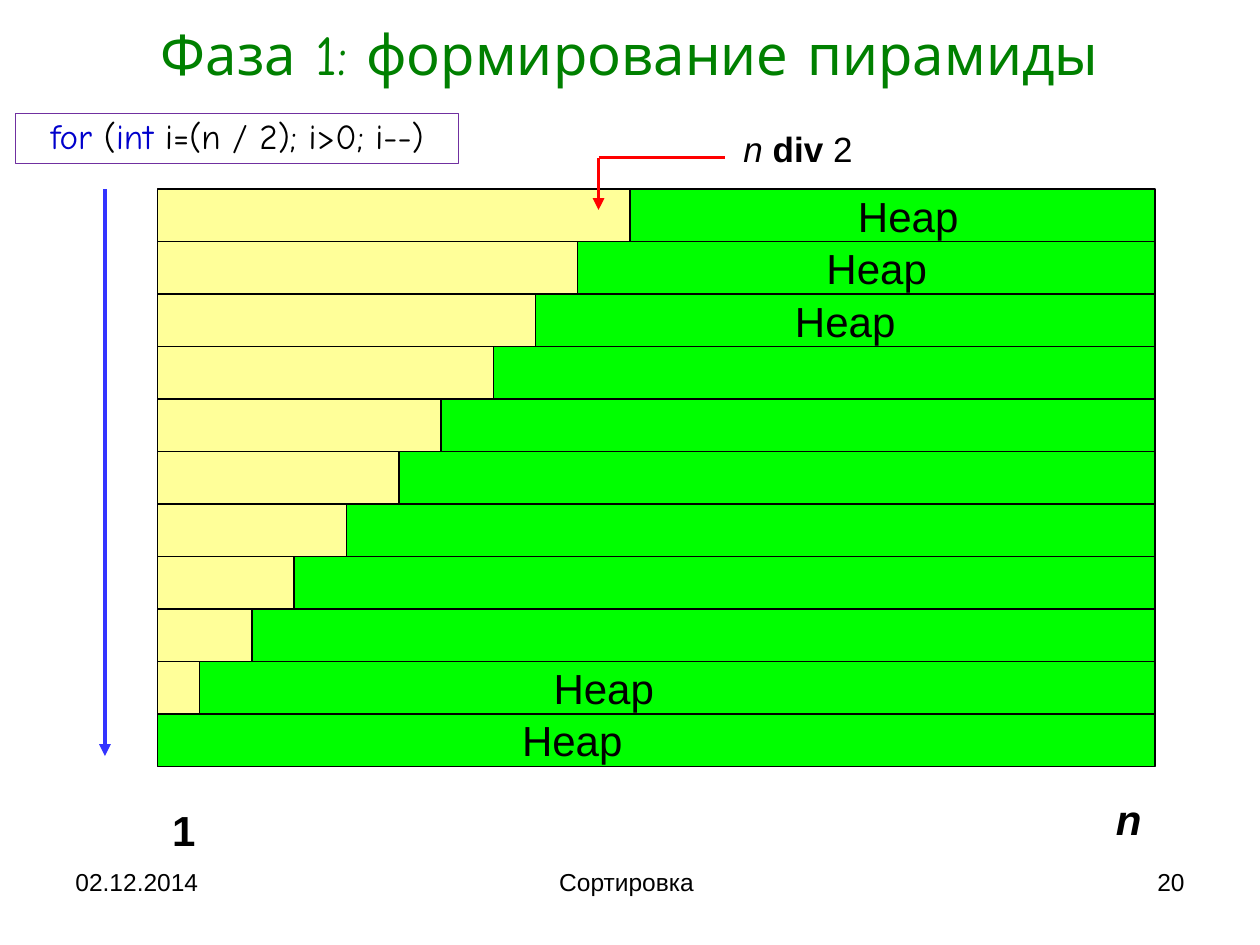
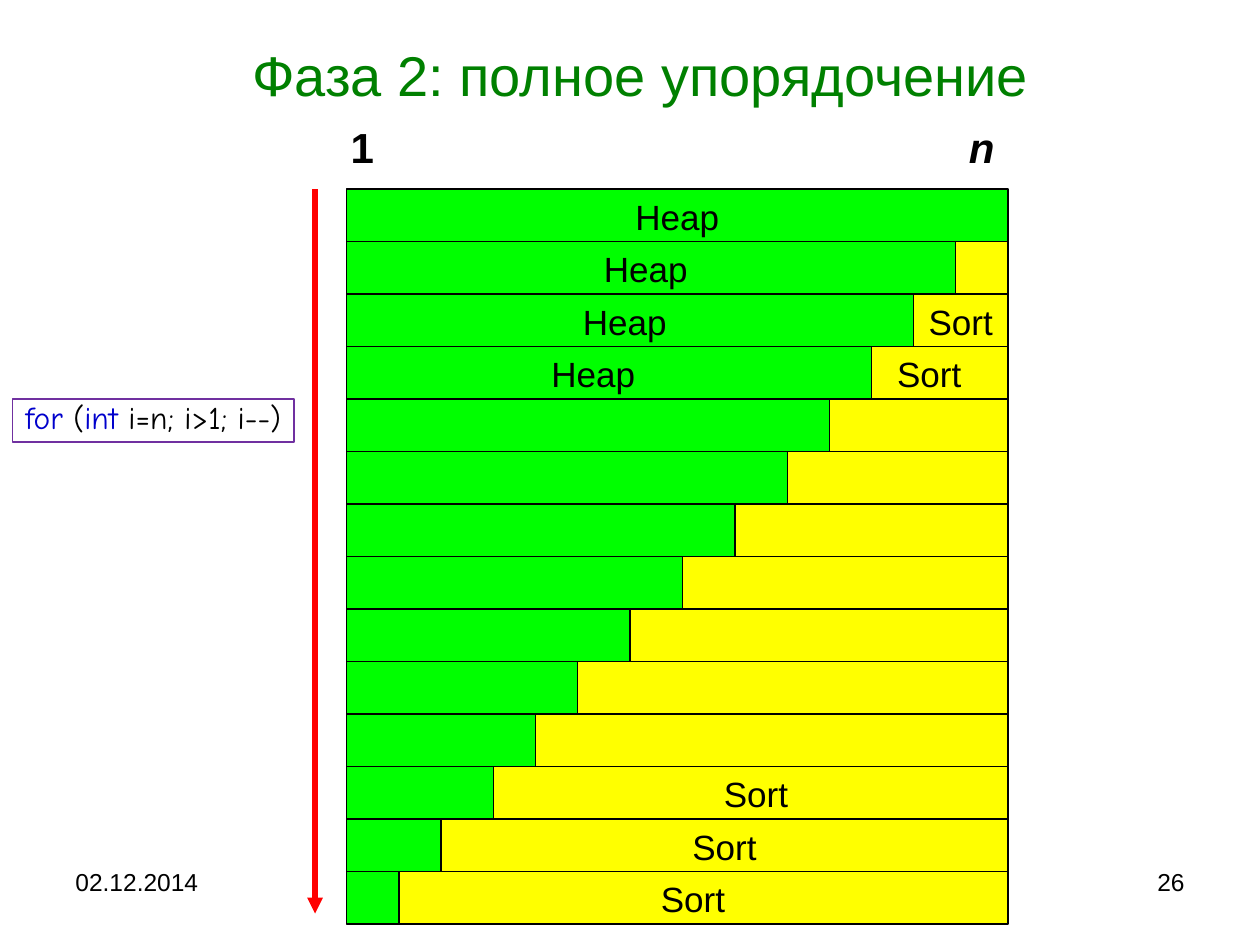
"""Build two slides on heap sort: forming the heap, then full ordering."""
import lxml.etree
import pptx
import pptx.dml.color
import pptx.enum.shapes
import pptx.enum.text
import pptx.oxml.ns
import pptx.util

COLORS = {
    "text": "000000", "title": "008000", "keyword": "0000CC", "frame": "7030A0",
    "unsorted": "FFFF99", "heap": "00FF00", "sorted": "FFFF00",
    "red": "FF0000", "blue": "3333FF",
}
PX = 7620
ROW_TOP, ROW_HEIGHT = 180, 50
TIGHT = (2, 1)
ROOMY = (12, 6)
FOOTER_TOP, FOOTER_HEIGHT = 820, 62
DATE = "02.12.2014"

SLIDES = [
    {
        "title": ("Фаза 1: формирование пирамиды", (60, 20, 1080, 70), "Comic Neue"),
        "footer": [(DATE, 60, 280, "LEFT"), ("Сортировка ", 410, 380, "CENTER"),
                   ("20", 860, 280, "RIGHT")],
        "edges": (150, 1100),
        "bar_colors": ("unsorted", "heap"),
        "splits": [600, 550, 510, 470, 420, 380, 330, 280, 240, 190, 150],
        "label_format": {"size": 24, "inset": TIGHT},
        "label_height": 50,
        "labels": [("Heap", 0, 750, 230), ("Heap", 1, 720, 230), ("Heap", 2, 690, 230),
                   ("Heap", 9, 460, 230), ("Heap", 10, 430, 230)],
        "texts": [
            ([("1", "b")], (150, 760, 50, 60), {"size": 24}),
            ([("n", "bi")], (1050, 750, 50, 60), {"size": 24}),
            ([("n ", "i"), ("div", "b"), (" 2", "")], (680, 120, 160, 43),
             {"size": 20, "inset": TIGHT}),
            ([("for", "k"), (" (", ""), ("int", "k"), (" i=(n / 2); i>0; i--)", "")],
             (15, 108, 422, 48),
             {"size": 20, "font": "Comic Neue", "spacing": 0.9, "frame": "frame"}),
        ],
        "lines": [((570, 150), (570, 200), "red", 2.25, True),
                  ((570, 150), (690, 150), "red", 2.25, False),
                  ((100, 180), (100, 720), "blue", 2.25, True)],
    },
    {
        "title": ("Фаза 2: полное упорядочение", (70, 40, 1080, 70), "Arial"),
        "footer": [(DATE, 60, 280, "LEFT"), ("26", 860, 280, "RIGHT")],
        "edges": (330, 960),
        "bar_colors": ("heap", "sorted"),
        "splits": [960, 910, 870, 830, 790, 750, 700, 650, 600, 550, 510, 470, 420, 380],
        "label_format": {"size": 20},
        "label_height": 53,
        "labels": [("Heap", 0, 510, 270), ("Heap", 1, 510, 210), ("Heap", 2, 490, 210),
                   ("Heap", 3, 460, 210), ("Sort", 2, 860, 110), ("Sort", 3, 830, 110),
                   ("Sort", 11, 620, 200), ("Sort", 12, 590, 200), ("Sort", 13, 560, 200)],
        "texts": [
            ([("1", "b")], (310, 110, 70, 60), {"size": 24}),
            ([("n", "bi")], (900, 110, 70, 60), {"size": 24}),
            ([("for", "k"), (" (", ""), ("int", "k"), (" i=n; i>1; i--)", "")],
             (12, 380, 268, 41),
             {"size": 18, "font": "Comic Neue", "spacing": 0.8, "frame": "frame",
              "wrap": False}),
        ],
        "lines": [((300, 180), (300, 870), "red", 3, True)],
    },
]


def scale(lengths):
    return [length * PX for length in lengths]


def rgb(name):
    return pptx.dml.color.RGBColor.from_string(COLORS[name])


def add_box(slide, box, line, fill=None):
    shape = slide.shapes.add_shape(
        pptx.enum.shapes.MSO_SHAPE.RECTANGLE, *scale(box))
    shape.shadow.inherit = False
    if fill:
        shape.fill.solid()
        shape.fill.fore_color.rgb = rgb(fill)
    else:
        shape.fill.background()
    shape.line.color.rgb = rgb(line)
    shape.line.width = pptx.util.Pt(0.75)
    return shape


def add_text(slide, runs, box, size, font="Arial", color="text", align="CENTER",
             inset=ROOMY, spacing=None, frame=None, wrap=True):
    shape = add_box(slide, box, frame) if frame else slide.shapes.add_textbox(*scale(box))
    text_frame = shape.text_frame
    text_frame.word_wrap = wrap
    text_frame.vertical_anchor = pptx.enum.text.MSO_ANCHOR.TOP
    text_frame.margin_left = text_frame.margin_right = inset[0] * PX
    text_frame.margin_top = text_frame.margin_bottom = inset[1] * PX
    paragraph = text_frame.paragraphs[0]
    paragraph.alignment = pptx.enum.text.PP_ALIGN[align]
    paragraph.line_spacing = spacing
    for text, style in runs:
        run = paragraph.add_run()
        run.text = text
        run.font.name = font
        run.font.size = pptx.util.Pt(size)
        run.font.bold = "b" in style
        run.font.italic = "i" in style
        run.font.color.rgb = rgb("keyword" if "k" in style else color)


def add_line(slide, start, end, color, width, arrow):
    connector = slide.shapes.add_connector(
        pptx.enum.shapes.MSO_CONNECTOR.STRAIGHT, *scale(start + end))
    connector.line.color.rgb = rgb(color)
    connector.line.width = pptx.util.Pt(width)
    if arrow:
        lxml.etree.SubElement(connector.line._get_or_add_ln(),
                              pptx.oxml.ns.qn("a:tailEnd"), type="triangle")
    lxml.etree.SubElement(connector._element.spPr, pptx.oxml.ns.qn("a:effectLst"))


def add_bars(slide, edges, splits, colors):
    left, right = edges
    for row, split in enumerate(splits):
        top = ROW_TOP + row * ROW_HEIGHT
        for start, end, color in ((left, split, colors[0]), (split, right, colors[1])):
            if end > start:
                add_box(slide, (start, top, end - start, ROW_HEIGHT), "text", color)


def build_slide(presentation, content):
    slide = presentation.slides.add_slide(presentation.slide_layouts[6])
    for text, left, width, align in content["footer"]:
        add_text(slide, [(text, "")], (left, FOOTER_TOP, width, FOOTER_HEIGHT),
                 size=14, align=align)
    title, box, font = content["title"]
    add_text(slide, [(title, "")], box, size=32, font=font, color="title", spacing=0.9)
    add_bars(slide, content["edges"], content["splits"], content["bar_colors"])
    for text, row, left, width in content["labels"]:
        box = (left, ROW_TOP + row * ROW_HEIGHT, width, content["label_height"])
        add_text(slide, [(text, "")], box, **content["label_format"])
    for runs, box, text_format in content["texts"]:
        add_text(slide, runs, box, **text_format)
    for line in content["lines"]:
        add_line(slide, *line)


def main():
    presentation = pptx.Presentation()
    presentation.slide_width, presentation.slide_height = scale((1200, 900))
    for content in SLIDES:
        build_slide(presentation, content)
    presentation.save("out.pptx")


if __name__ == "__main__":
    main()
